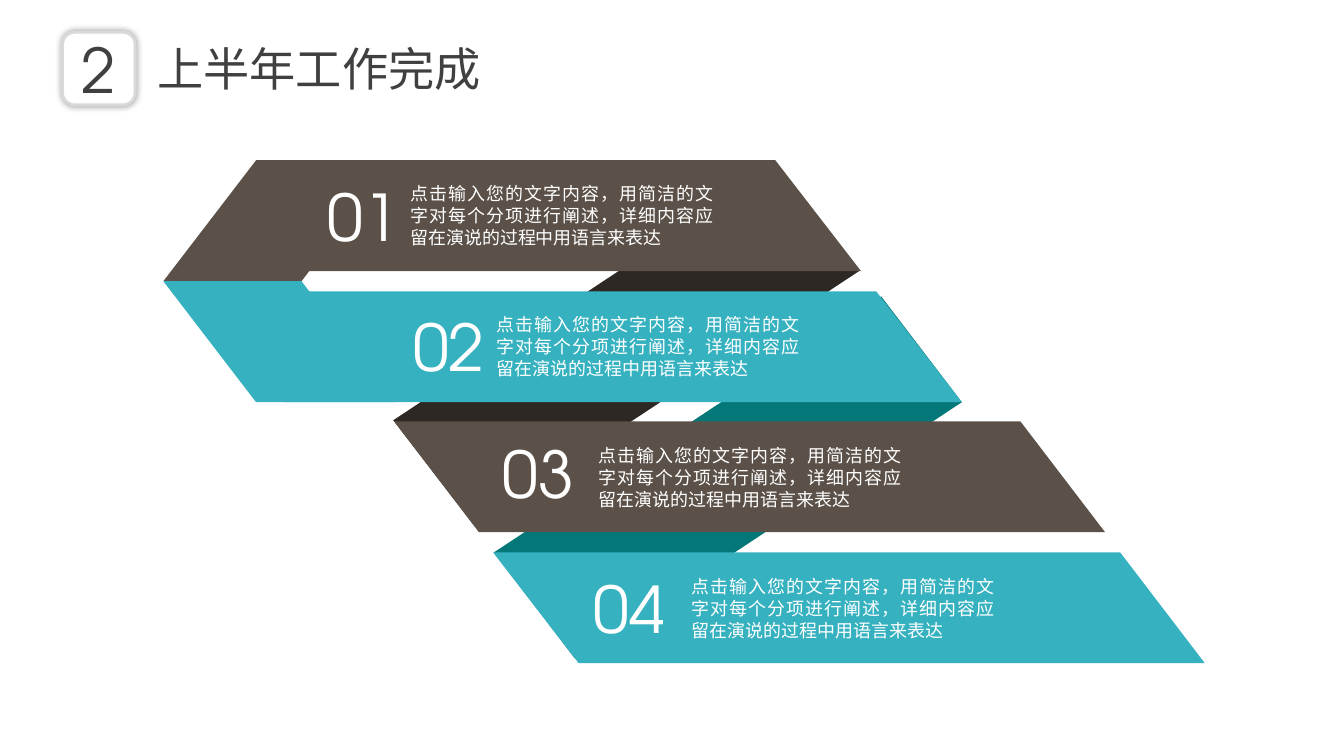
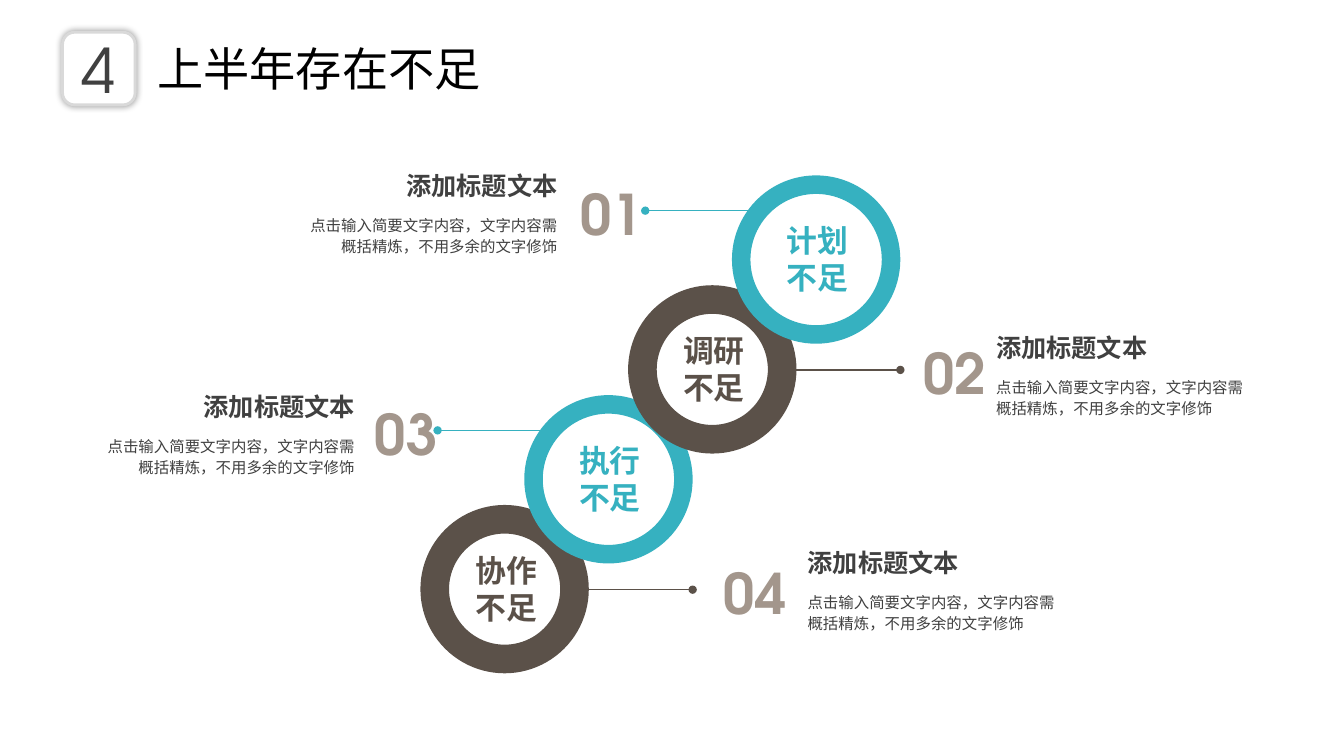
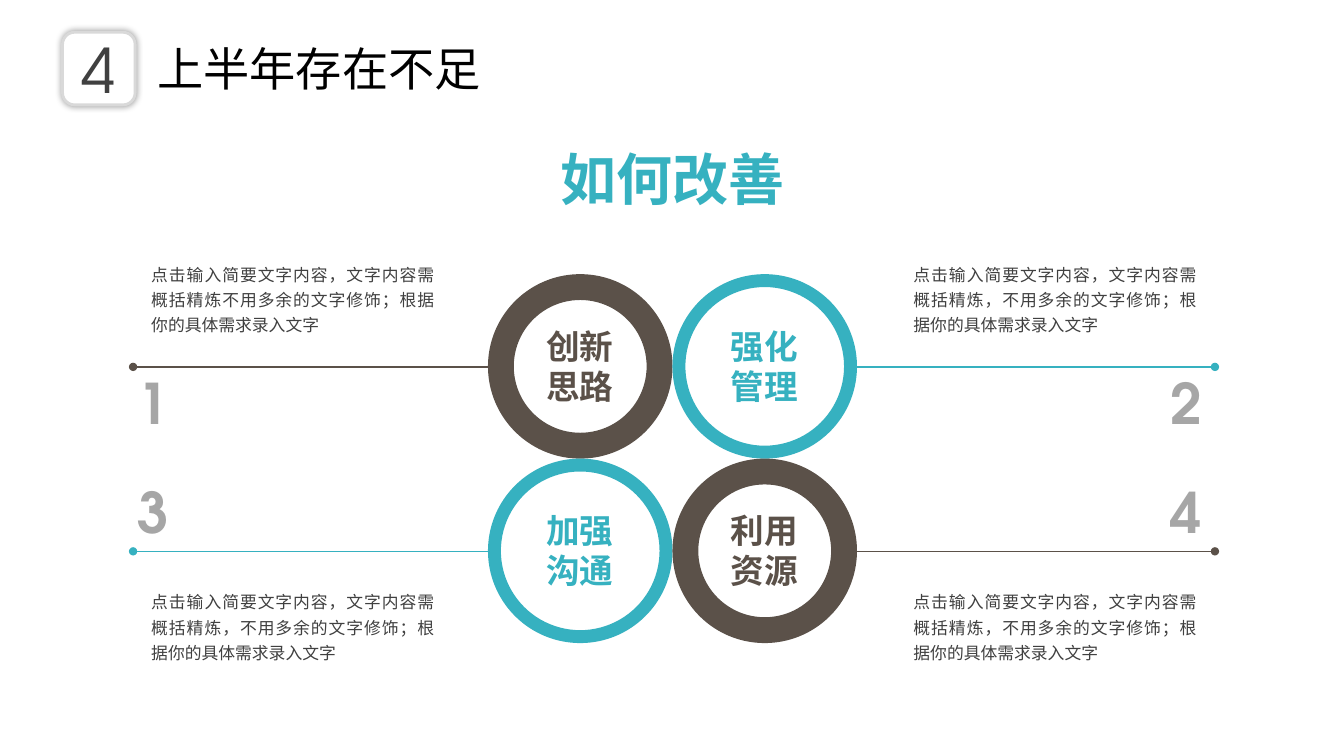
from lxml import etree
from pptx import Presentation
from pptx import util as u
from pptx.dml.color import RGBColor
from pptx.enum import shapes, text
from pptx.oxml import parse_xml
from pptx.oxml.ns import nsdecls, qn

TEAL, BROWN, DEEP, DARK = "36B1C0", "5B5149", "047878", "2E2824"
INK, BLACK, WHITE, EDGE = "404040", "000000", "FFFFFF", "D9D9D9"
TAUPE, GRAY = "A3968C", "A6A6A6"
LATIN, HAN = "TeX Gyre Adventor", "Noto Sans CJK SC"
LEFT, MID, RIGHT, JUST = (text.PP_ALIGN.LEFT, text.PP_ALIGN.CENTER,
                          text.PP_ALIGN.RIGHT, text.PP_ALIGN.JUSTIFY)
TOP, CENTER = text.MSO_ANCHOR.TOP, text.MSO_ANCHOR.MIDDLE
GROW, FIXED = text.MSO_AUTO_SIZE.SHAPE_TO_FIT_TEXT, text.MSO_AUTO_SIZE.NONE
SHADOW = (f'<a:effectLst {nsdecls("a")}><a:outerShdw blurRad="63500" dist="0" '
          'dir="0" algn="ctr" rotWithShape="0"><a:srgbClr val="000000">'
          '<a:alpha val="40000"/></a:srgbClr></a:outerShdw></a:effectLst>')


def tint(hue):
    """Return a colour from its hex string."""
    return RGBColor.from_string(hue)


def apply(item, vals):
    """Set each attribute named in vals on item."""
    for key, val in vals.items():
        setattr(item, key, val)


def inches(*nums):
    """Return the numbers as lengths in inches."""
    return [u.Inches(n) for n in nums]


class Deck:
    """Holds the shared style and the current slide."""

    def __init__(self):
        """Start a wide deck."""
        self.prs = Presentation()
        apply(self.prs, {"slide_width": u.Inches(13.33),
                         "slide_height": u.Inches(7.5)})

    def page(self, num, name, hue=BLACK):
        """Add a slide with its title and numbered badge."""
        self.slide = self.prs.slides.add_slide(self.prs.slide_layouts[5])
        self.shapes = self.slide.shapes
        head = self.shapes.title
        apply(head, dict(zip(("left", "top", "width", "height"),
                             inches(1.46, 0.35, 3.44, 0.66))))
        self.words(head, name, 33, hue, font=HAN, anchor=CENTER, wrap=False,
                   fit=FIXED)
        badge = self.shape(shapes.MSO_SHAPE.ROUNDED_RECTANGLE,
                           (0.62, 0.32, 0.72, 0.72), WHITE)
        badge.line.color.rgb = tint(EDGE)
        badge.line.width = u.Pt(2)
        old = badge._element.spPr.find(qn("a:effectLst"))
        old.getparent().replace(old, parse_xml(SHADOW))
        self.words(badge, num, 44, INK, align=MID, anchor=CENTER, fit=FIXED)

    def words(self, shape, copy, size, hue, bold=False, align=LEFT, font=LATIN,
              space=None, anchor=TOP, wrap=True, inset=None, fit=GROW):
        """Put one formatted paragraph in a shape."""
        frame = shape.text_frame
        apply(frame, {"word_wrap": wrap, "auto_size": fit,
                      "vertical_anchor": anchor})
        if inset is not None:
            sides = ("left", "top", "right", "bottom")
            apply(frame, {f"margin_{s}": u.Inches(inset) for s in sides})
        para = frame.paragraphs[0]
        para.alignment = align
        if space:
            para.line_spacing = u.Pt(space)
        run = para.add_run()
        run.text = copy
        apply(run.font, {"size": u.Pt(size), "bold": bold, "name": font})
        run.font.color.rgb = tint(hue)
        etree.SubElement(run._r.get_or_add_rPr(), qn("a:ea"), typeface=font)

    def label(self, box, copy, size, hue, **style):
        """Add a text box."""
        self.words(self.shapes.add_textbox(*inches(*box)), copy, size, hue,
                   **style)

    def plain(self, item, hue):
        """Give a shape a flat fill with no line or shadow."""
        item.shadow.inherit = False
        item.fill.solid()
        item.fill.fore_color.rgb = tint(hue)
        item.line.fill.background()
        return item

    def shape(self, kind, box, hue):
        """Add a flat preset shape."""
        return self.plain(self.shapes.add_shape(kind, *inches(*box)), hue)

    def poly(self, hue, *pts):
        """Add a flat outline through the points."""
        first, *rest = [inches(*p) for p in pts]
        form = self.shapes.build_freeform(*first, scale=1.0)
        form.add_line_segments(rest, close=True)
        self.plain(form.convert_to_shape(), hue)

    def ring(self, x, y, size, hue, thick):
        """Add a donut."""
        item = self.shape(shapes.MSO_SHAPE.DONUT, (x, y, size, size), hue)
        item.adjustments[0] = thick

    def lead(self, start, end, y, hue):
        """Add a level line that ends in a dot."""
        item = self.shapes.add_connector(shapes.MSO_CONNECTOR.STRAIGHT,
                                         *inches(start, y, end, y))
        item.line.color.rgb = tint(hue)
        item.line.width = u.Pt(1)
        etree.SubElement(item.line._get_or_add_ln(), qn("a:tailEnd"), type="oval")
        etree.SubElement(item._element.spPr, qn("a:effectLst"))


def done(deck):
    """Build the folded ribbon slide."""
    deck.page("2", "上半年工作完成", INK)
    deck.poly(DEEP, (8.74, 2.94), (9.54, 3.99), (5.7, 6.53), (4.9, 5.48))
    deck.poly(DARK, (7.72, 1.64), (8.52, 2.69), (4.7, 5.21), (3.9, 4.17))
    bands = [(TEAL, 5.48, 4.89, 11.11, 11.95, 5.74),
             (BROWN, 4.18, 3.91, 10.12, 10.96, 4.75),
             (BROWN, 1.59, 2.83, 7.69, 8.54, 2.83),
             (TEAL, 2.89, 2.83, 8.69, 9.54, 2.83)]
    for hue, y, a, b, c, d in bands:
        deck.poly(hue, (a, y), (b, y), (c, y + 1.1), (d, y + 1.1))
    for hue, y in ((BROWN, 1.59), (TEAL, 3.99)):
        deck.poly(hue, (2.54, y), (3.91, y), (2.99, 2.79), (1.62, 2.79))
    copy = ("点击输入您的文字内容，用简洁的文字对每个分项进行阐述，"
            "详细内容应留在演说的过程中用语言来表达")
    spots = [(3.15, 1.71, 3.97), (4, 3, 4.83), (4.89, 4.26, 5.84),
             (5.79, 5.6, 6.76)]
    for i, (x, y, left) in enumerate(spots):
        deck.label((x, y, 0.92, 0.87), f"0{i + 1}", 46, WHITE, wrap=False)
        deck.label((left, 1.76 + 1.3 * i, 3.2, 0.77), copy, 12.8, WHITE,
                   align=JUST, space=15.6)


def gaps(deck):
    """Build the chain of rings slide."""
    deck.page("4", "上半年存在不足")
    copy = "点击输入简要文字内容，文字内容需概括精炼，不用多余的文字修饰"
    rows = [("计划不足", TEAL, 0.11, 5.66, 5.53, 1.69),
            ("调研不足", BROWN, 0.17, 9.06, 9.88, 3.3),
            ("执行不足", TEAL, 0.11, 3.62, 3.52, 3.88),
            ("协作不足", BROWN, 0.17, 7.08, 8.01, 5.43)]
    for i, (name, hue, thick, num, edge, top) in reversed(list(enumerate(rows))):
        x, y = 7.26 - 1.03 * i, 1.74 + 1.09 * i
        deck.ring(x, y, 1.67, hue, thick)
        deck.label((x + 0.47, y + 0.46, 0.76, 0.74), name, 22, hue, bold=True,
                   align=MID, inset=0)
        flip = i % 2 == 0
        start, end, level = ((x + 0.25, x - 0.86, y + 0.35) if flip
                             else (x + 1.59, x + 2.7, y + 0.84))
        deck.lead(start, end, level, hue)
        deck.label((num, level - 0.36, 0.83, 0.77), f"0{i + 1}", 40, TAUPE,
                   bold=True, wrap=False)
        wide = 2.59 if flip else 2.46
        side = {"align": RIGHT if flip else LEFT, "inset": 0}
        deck.label((edge - 1.78 * flip, top, 1.78, 0.3), "添加标题文本", 18, INK,
                   bold=True, **side)
        deck.label((edge - wide * flip, top + 0.43, wide, 0.4), copy, 11, INK,
                   space=15, **side)


def plan(deck):
    """Build the four rings slide."""
    deck.page("4", "上半年存在不足")
    deck.label((5.29, 1.43, 2.76, 0.67), "如何改善", 40, TEAL, bold=True,
               align=MID, inset=0)
    copy = "点击输入简要文字内容，文字内容需概括精炼{}不用多余的文字修饰；根据你的具体需求录入文字"
    rows = [("创新思路", BROWN, 0.14, ""), ("强化管理", TEAL, 0.07, "，"),
            ("加强沟通", TEAL, 0.07, "，"), ("利用资源", BROWN, 0.14, "，")]
    for i, (name, hue, thick, mark) in enumerate(rows):
        row, col = divmod(i, 2)
        x, y = 4.84 + 1.83 * col, 2.72 + 1.83 * row
        deck.ring(x, y, 1.83, hue, thick)
        deck.lead((4.86, 8.5)[col], (1.32, 12.05)[col], y + 0.92, hue)
        deck.label((x + 0.53, y + 0.51, 0.76, 0.81), name, 24, hue, bold=True,
                   align=MID, inset=0)
        deck.label(((1.5, 9.06)[col], (2.57, 5.82)[row], 2.81, 0.76),
                   copy.format(mark), 12, INK, align=JUST, space=18,
                   anchor=CENTER, inset=0)
        deck.label(((1.31, 11.56)[col], (3.66, 4.74)[row], 0.41, 0.67),
                   str(i + 1), 40, GRAY, bold=True, align=MID, inset=0)


def main():
    """Build and save the deck."""
    deck = Deck()
    for build in (done, gaps, plan):
        build(deck)
    deck.prs.save("out.pptx")


if __name__ == "__main__":
    main()
